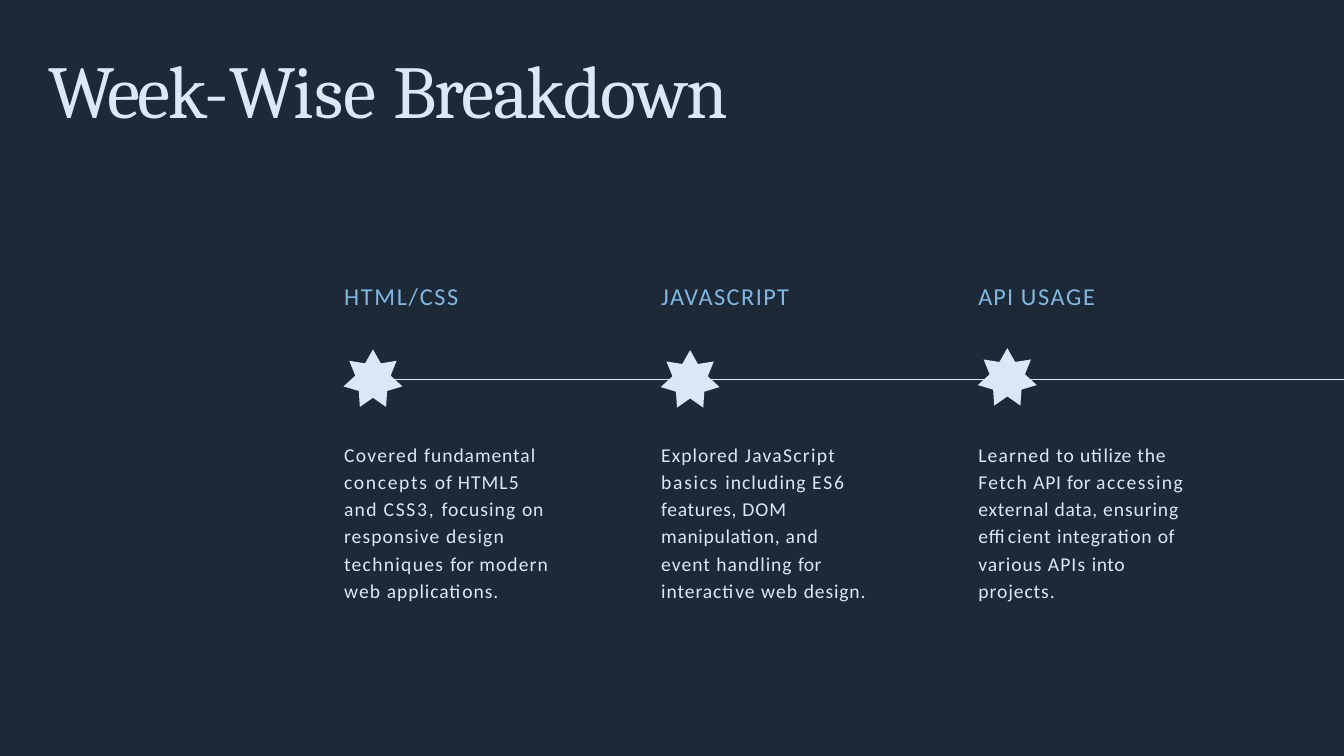
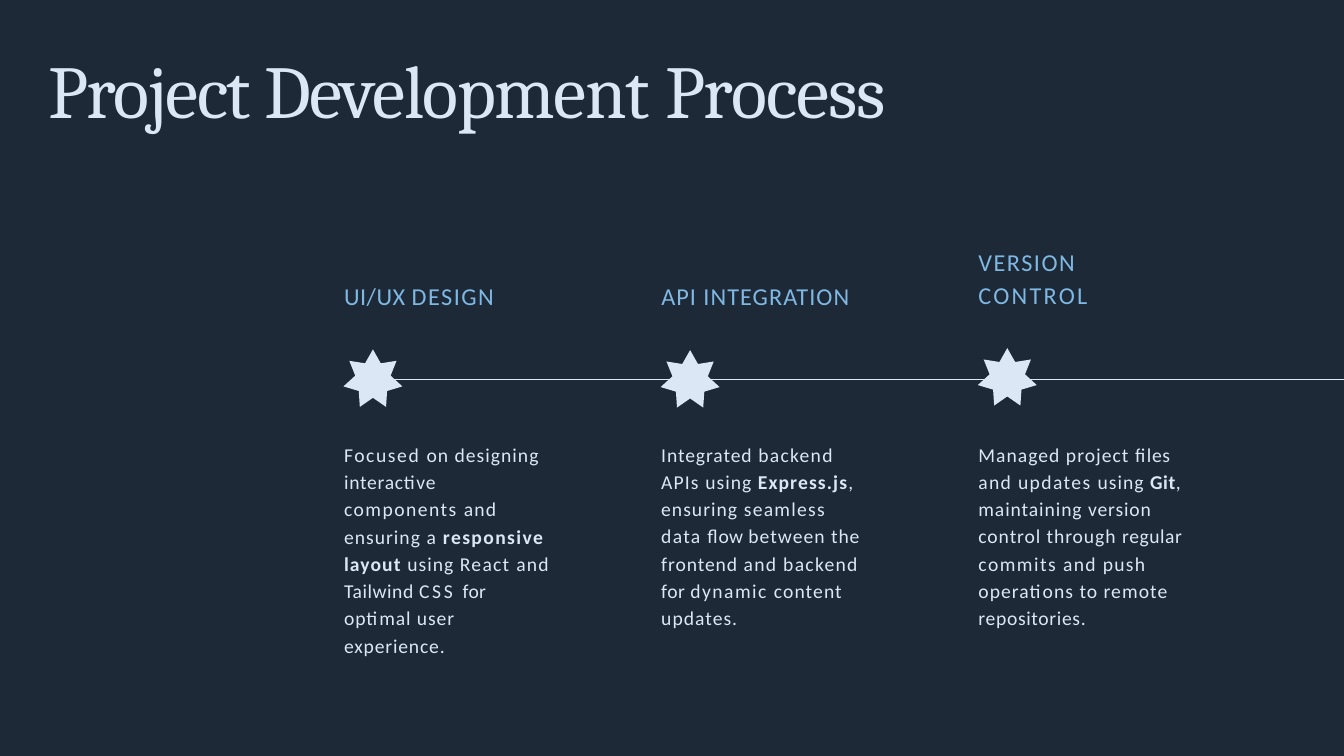
import math
from dataclasses import dataclass

import lxml.etree
import pptx
import pptx.dml.color
import pptx.enum.shapes
import pptx.enum.text
import pptx.oxml.ns
import pptx.util

RGBColor = pptx.dml.color.RGBColor
Inches = pptx.util.Inches

NAVY = RGBColor(0x1D, 0x29, 0x37)
PALE_BLUE = RGBColor(0xDB, 0xE7, 0xF5)
SKY_BLUE = RGBColor(0x7E, 0xB8, 0xE3)

SLIDE_WIDTH, SLIDE_HEIGHT = 20, 11.25
FIRST_COLUMN, COLUMN_PITCH = 5.1, 4.72
HEADING_BOTTOM, HEADING_LINE, EXTRA_HEADING_LINE = 4.63, 0.46, 0.57
BODY_TOP, BODY_LINE = 6.52, 0.41
TIMELINE_LEFT, TIMELINE_Y = 5.47, 5.64
STAR_POINTS, STAR_RADIUS, STAR_INNER_RADIUS = 7, 0.45, 0.27
STAR_CENTERS = [(FIRST_COLUMN + 0.45 + column * COLUMN_PITCH, y)
                for column, y in enumerate((5.65, 5.66, 5.63))]


@dataclass
class TextStyle:
    font: str
    size: float
    color: RGBColor
    line_spacing: float = 1.0
    left_margin: float = 0.02


TITLE = TextStyle("Cambria", 80, PALE_BLUE, left_margin=0)
HEADING = TextStyle("Calibri", 26, SKY_BLUE)
WRAPPED_HEADING = TextStyle("Calibri", 26, SKY_BLUE, 1.15)
BODY = TextStyle("Calibri", 21, PALE_BLUE, 1.16)


@dataclass
class Step:
    """Runs are (text, letter spacing in points) with an optional True for bold."""
    heading: list
    heading_width: float
    body: list
    body_width: float
    body_lines: int
    heading_lines: int = 1


WEEK_TITLE = [("Week-", -2.9), ("Wise ", 0), ("Breakdown", -1.6)]
WEEK_STEPS = [
    Step([("HTML/CSS", 1.8)], 1.78,
         [("Covered", 1.4), (" fundamental ", 1), ("concepts ", 1.8), ("of ", 0.8),
          ("HTML5 ", 1.1), ("and ", 1.4), ("CSS3, ", 1.8), ("focusing ", 1.2),
          ("on ", 0.8), ("responsive ", 1.2), ("design ", 1.3), ("techniques ", 1.4),
          ("for ", 0.5), ("modern web ", 1.2), ("applications.", 1)], 3.11, 6),
    Step([("JAVASCRIPT", 1.6)], 2.03,
         [("Explored ", 1.1), ("JavaScript ", 1.4), ("basics ", 1.8),
          ("including ", 1.1), ("ES6 ", 1.9), ("features, ", 0.7), ("DOM ", 1),
          ("manipulation, ", 0.7), ("and ", 1.2), ("event", 1.1), (" handling ", 1),
          ("for ", 0.3), ("interactive ", 1), ("web ", 1.2), ("design.", 0.9)],
         3.13, 6),
    Step([("API ", 1.1), ("USAGE", 1.8)], 1.8,
         [("Learned ", 1.2), ("to ", 1), ("utilize ", 0.7), ("the ", 0.9),
          ("Fetch", 1.4), (" API ", 0.8), ("for ", 0.5), ("accessing ", 1.6),
          ("external ", 0.8), ("data, ", 0.7), ("ensuring efficient ", 1),
          ("integration ", 0.8), ("of ", 0.6), ("various ", 1), ("APIs ", 1.2),
          ("into ", 0.5), ("projects.", 1)], 3.16, 6),
]

PROCESS_TITLE = [("Project ", -1.6), ("Development ", -1.6), ("Process", -1.1)]
PROCESS_STEPS = [
    Step([("UI/UX ", 0.5), ("DESIGN", 1.6)], 2.31,
         [("Focused ", 1.7), ("on designing ", 1.1), ("interactive ", 0.8),
          ("components ", 1.6), ("and ", 1.2), ("ensuring ", 1.1), ("a ", 1.3),
          ("responsive ", 1.5, True), ("layout ", 1.2, True), ("using ", 1.1),
          ("React ", 1.4), ("and ", 1.2), ("Tailwind ", 0.6), ("CSS ", 2.9),
          ("for ", 0.3), ("optimal user ", 1), ("experience.", 0.9)], 3.12, 8),
    Step([("API INTEGRATION", 1.1)], 2.91,
         [("Integrated ", 1), ("backend ", 1.4), ("APIs ", 1.2), ("using ", 1.1),
          ("Express.js", 1.2, True), (", ", 1.2), ("ensuring ", 1.1),
          ("seamless data ", 1.4), ("flow ", 0.4), ("between ", 1.1), ("the ", 0.9),
          ("frontend ", 1), ("and backend ", 1.4), ("for ", 0.5), ("dynamic ", 1.6),
          ("content ", 1.2), ("updates.", 1.1)], 3.03, 7),
    Step([("VERSION ", 1.6), ("CONTROL", 2.4)], 1.71,
         [("Managed project ", 1.1), ("files ", 0.7), ("and ", 1.4),
          ("updates ", 1.5), ("using ", 1.1), ("Git", 0.6, True), (", ", 0.6),
          ("maintaining ", 1), ("version ", 0.9), ("control through ", 1),
          ("regular ", 0.6), ("commits ", 1.6), ("and push ", 1.4),
          ("operations ", 1.1), ("to ", 1), ("remote ", 1.2),
          ("repositories.", 0.7)], 3.11, 7, heading_lines=2),
]


def add_run(paragraph, style, text, letter_spacing, bold=False):
    run = paragraph.add_run()
    run.text = text
    run.font.name = style.font
    run.font.size = pptx.util.Pt(style.size)
    run.font.color.rgb = style.color
    run.font.bold = bold
    run.font._element.set("spc", str(round(letter_spacing * 100)))


def add_text(slide, runs, style, left, top, width, height):
    box = slide.shapes.add_textbox(
        Inches(left), Inches(top), Inches(width), Inches(height))
    frame = box.text_frame
    frame.word_wrap = True
    frame.auto_size = pptx.enum.text.MSO_AUTO_SIZE.SHAPE_TO_FIT_TEXT
    frame.margin_left = Inches(style.left_margin)
    frame.margin_top = Inches(0.01)
    frame.margin_right = frame.margin_bottom = 0
    paragraph = frame.paragraphs[0]
    paragraph.line_spacing = style.line_spacing
    for run in runs:
        add_run(paragraph, style, *run)


def fill_plain(shape, color):
    shape.shadow.inherit = False
    shape.fill.solid()
    shape.fill.fore_color.rgb = color
    shape.line.fill.background()


def add_backdrop(slide):
    backdrop = slide.shapes.add_shape(
        pptx.enum.shapes.MSO_SHAPE.RECTANGLE,
        0, 0, Inches(SLIDE_WIDTH), Inches(SLIDE_HEIGHT))
    fill_plain(backdrop, NAVY)


def add_timeline(slide):
    line = slide.shapes.add_connector(
        pptx.enum.shapes.MSO_CONNECTOR.STRAIGHT,
        Inches(TIMELINE_LEFT), Inches(TIMELINE_Y),
        Inches(SLIDE_WIDTH), Inches(TIMELINE_Y))
    line.line.color.rgb = PALE_BLUE
    line.line.width = pptx.util.Pt(1)
    lxml.etree.SubElement(line._element.spPr, pptx.oxml.ns.qn("a:effectLst"))


def star_outline(center_x, center_y):
    """Corners clockwise from the top, outer and inner in turn."""
    corners = []
    for index in range(2 * STAR_POINTS):
        radius = STAR_INNER_RADIUS if index % 2 else STAR_RADIUS
        angle = index * math.pi / STAR_POINTS
        corners.append((Inches(center_x + radius * math.sin(angle)),
                        Inches(center_y - radius * math.cos(angle))))
    return corners


def add_stars(slide, centers):
    """Draw the stars at these centers as one shape."""
    first, *others = [star_outline(*center) for center in centers]
    builder = slide.shapes.build_freeform(*first[0])
    builder.add_line_segments(first[1:], close=True)
    for outline in others:
        builder.move_to(*outline[0])
        builder.add_line_segments(outline[1:], close=True)
    fill_plain(builder.convert_to_shape(), PALE_BLUE)


def add_step(slide, step, left):
    wrapped = step.heading_lines > 1
    height = HEADING_LINE + EXTRA_HEADING_LINE * (step.heading_lines - 1)
    add_text(slide, step.heading, WRAPPED_HEADING if wrapped else HEADING,
             left, HEADING_BOTTOM - height, step.heading_width, height)
    add_text(slide, step.body, BODY,
             left, BODY_TOP, step.body_width, BODY_LINE * step.body_lines)


def add_timeline_slide(presentation, title, steps, star_groups):
    slide = presentation.slides.add_slide(presentation.slide_layouts[6])
    add_backdrop(slide)
    add_timeline(slide)
    for centers in star_groups:
        add_stars(slide, centers)
    add_text(slide, title, TITLE, 0.72, 0.65, 13.71, 1.36)
    for column, step in enumerate(steps):
        add_step(slide, step, FIRST_COLUMN + column * COLUMN_PITCH)


def main():
    presentation = pptx.Presentation()
    presentation.slide_width = Inches(SLIDE_WIDTH)
    presentation.slide_height = Inches(SLIDE_HEIGHT)
    separate_stars = [[center] for center in STAR_CENTERS]
    add_timeline_slide(presentation, WEEK_TITLE, WEEK_STEPS, separate_stars)
    add_timeline_slide(presentation, PROCESS_TITLE, PROCESS_STEPS, [STAR_CENTERS])
    presentation.save("out.pptx")


if __name__ == "__main__":
    main()
